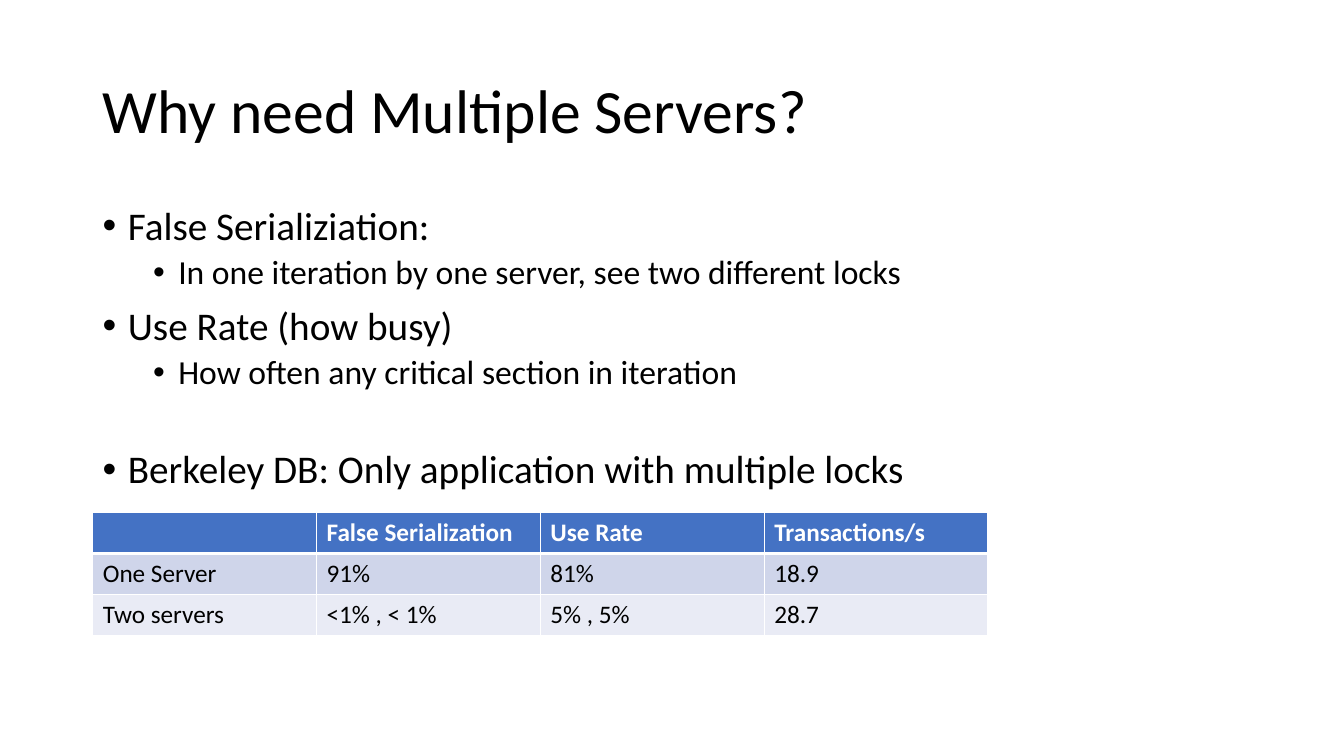
from lxml.etree import SubElement
from pptx import Presentation
from pptx.dml.color import RGBColor
from pptx.enum.text import MSO_ANCHOR as Anchor
from pptx.oxml.ns import qn
from pptx.util import Inches, Pt

TITLE = "Why need Multiple Servers?"
# level, text, space before
BULLETS = [
    (0, "False Serializiation:", 0),
    (1, "In one iteration by one server, see two different locks", 5),
    (0, "Use Rate (how busy)", 10),
    (1, "How often any critical section in iteration", 5),
    (0, "Berkeley DB: Only application with multiple locks", 41.4),
]
RESULTS = [
    ("", "False Serialization", "Use Rate", "Transactions/s"),
    ("One Server", "91%", "81%", "18.9"),
    ("Two servers", "<1% , < 1%", "5% , 5%", "28.7"),
]
ROW_FILLS = ["4472C4", "CFD5EA", "E9EBF5"]
BULLET_SIZES = [28, 24]
BLACK, WHITE = "000000", "FFFFFF"
WIDTH, HEIGHT = 13.33, 7.5
LEFT, CONTENT_WIDTH = 0.92, 11.5
COLUMN_WIDTH, ROW_HEIGHT = 2.22, 0.41


def color(value):
    """Turn a hex string into a colour."""
    return RGBColor.from_string(value)


def add_span(para, text, size, ink=BLACK, bold=False):
    """Add one formatted run."""
    span = para.add_run()
    span.text = text
    span.font.name = "Calibri"
    span.font.size = Pt(size)
    span.font.bold = bold
    span.font.color.rgb = color(ink)


def add_box(page, top, height):
    """Add a wrapping text box across the content width."""
    box = page.shapes.add_textbox(
        Inches(LEFT), Inches(top), Inches(CONTENT_WIDTH), Inches(height))
    box.text_frame.word_wrap = True
    return box.text_frame


def set_bullet(para, level):
    """Indent a paragraph and give it a round bullet."""
    props = para._p.get_or_add_pPr()
    props.set("marL", str(Inches(0.25 + 0.5 * level)))
    props.set("indent", str(Inches(-0.25)))
    SubElement(props, qn("a:buFont"), typeface="Arial")
    SubElement(props, qn("a:buChar"), char="•")


def add_bullets(page):
    """Write the bulleted list."""
    frame = add_box(page, 2, 4.76)
    for index, (level, text, gap) in enumerate(BULLETS):
        para = frame.add_paragraph() if index else frame.paragraphs[0]
        para.level = level
        para.line_spacing = 0.9
        para.space_before = Pt(gap)
        set_bullet(para, level)
        add_span(para, text, BULLET_SIZES[level])


def set_borders(cell, row):
    """Draw white borders, thicker below the header row."""
    props = cell._tc.get_or_add_tcPr()
    widths = {"L": 1, "R": 1, "T": 3 if row == 1 else 1, "B": 3 if row == 0 else 1}
    for side, width in widths.items():
        line = SubElement(props, qn(f"a:ln{side}"), w=str(Pt(width)))
        fill = SubElement(line, qn("a:solidFill"))
        SubElement(fill, qn("a:srgbClr"), val=WHITE)


def add_results(page):
    """Add the table of results."""
    columns, rows = len(RESULTS[0]), len(RESULTS)
    table = page.shapes.add_table(
        rows, columns, Inches(LEFT), Inches(5.08),
        Inches(columns * COLUMN_WIDTH), Inches(rows * ROW_HEIGHT)).table
    for row, texts in enumerate(RESULTS):
        header = row == 0
        for column, text in enumerate(texts):
            cell = table.cell(row, column)
            set_borders(cell, row)
            cell.fill.solid()
            cell.fill.fore_color.rgb = color(ROW_FILLS[row])
            if text:
                add_span(cell.text_frame.paragraphs[0], text, 18,
                         WHITE if header else BLACK, header)


def main():
    """Build and save the slide."""
    deck = Presentation()
    deck.slide_width, deck.slide_height = Inches(WIDTH), Inches(HEIGHT)
    page = deck.slides.add_slide(deck.slide_layouts[6])
    title = add_box(page, 0.4, 1.45)
    title.vertical_anchor = Anchor.MIDDLE
    title.paragraphs[0].line_spacing = 0.9
    add_span(title.paragraphs[0], TITLE, 44)
    add_bullets(page)
    add_results(page)
    deck.save("out.pptx")


if __name__ == "__main__":
    main()
